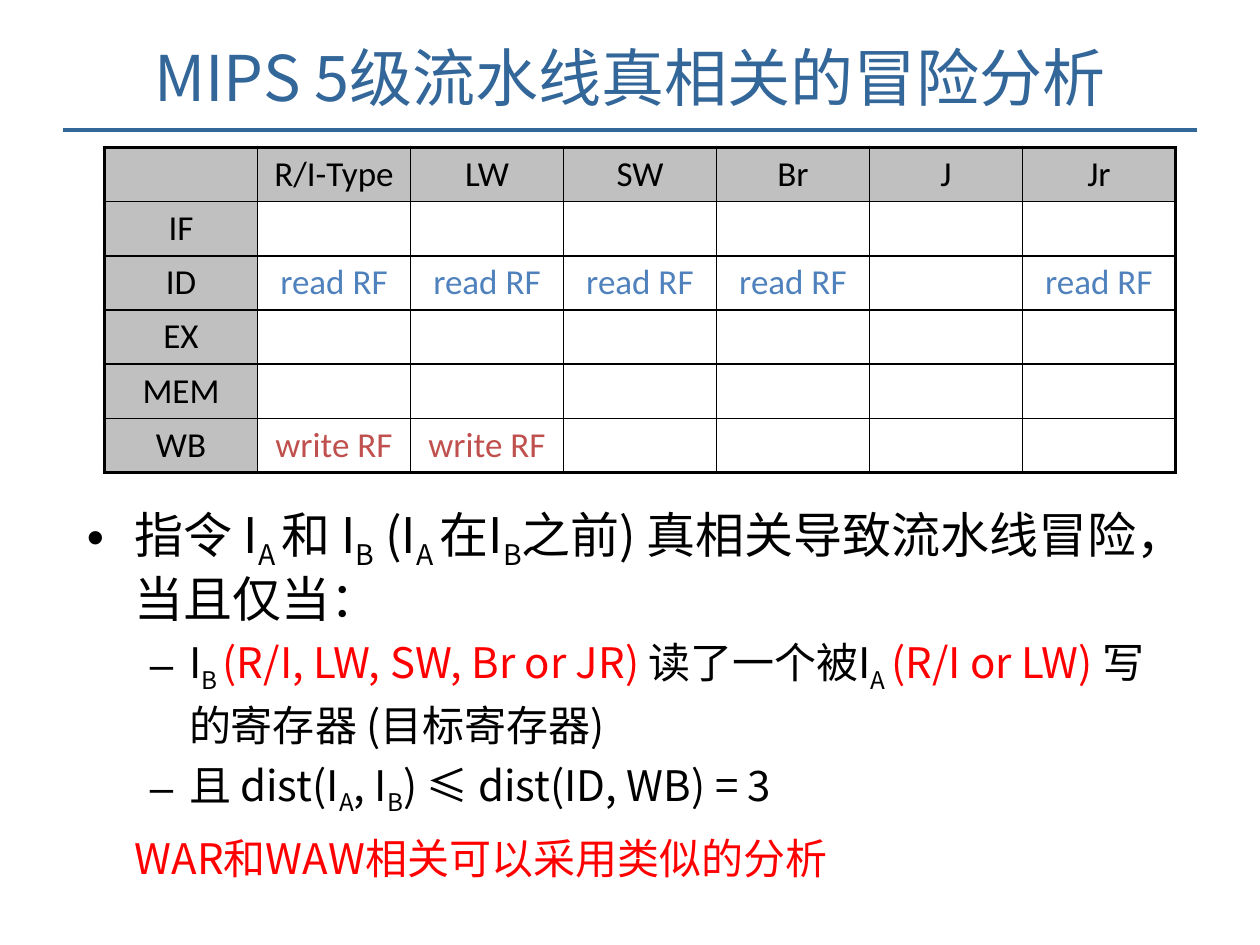
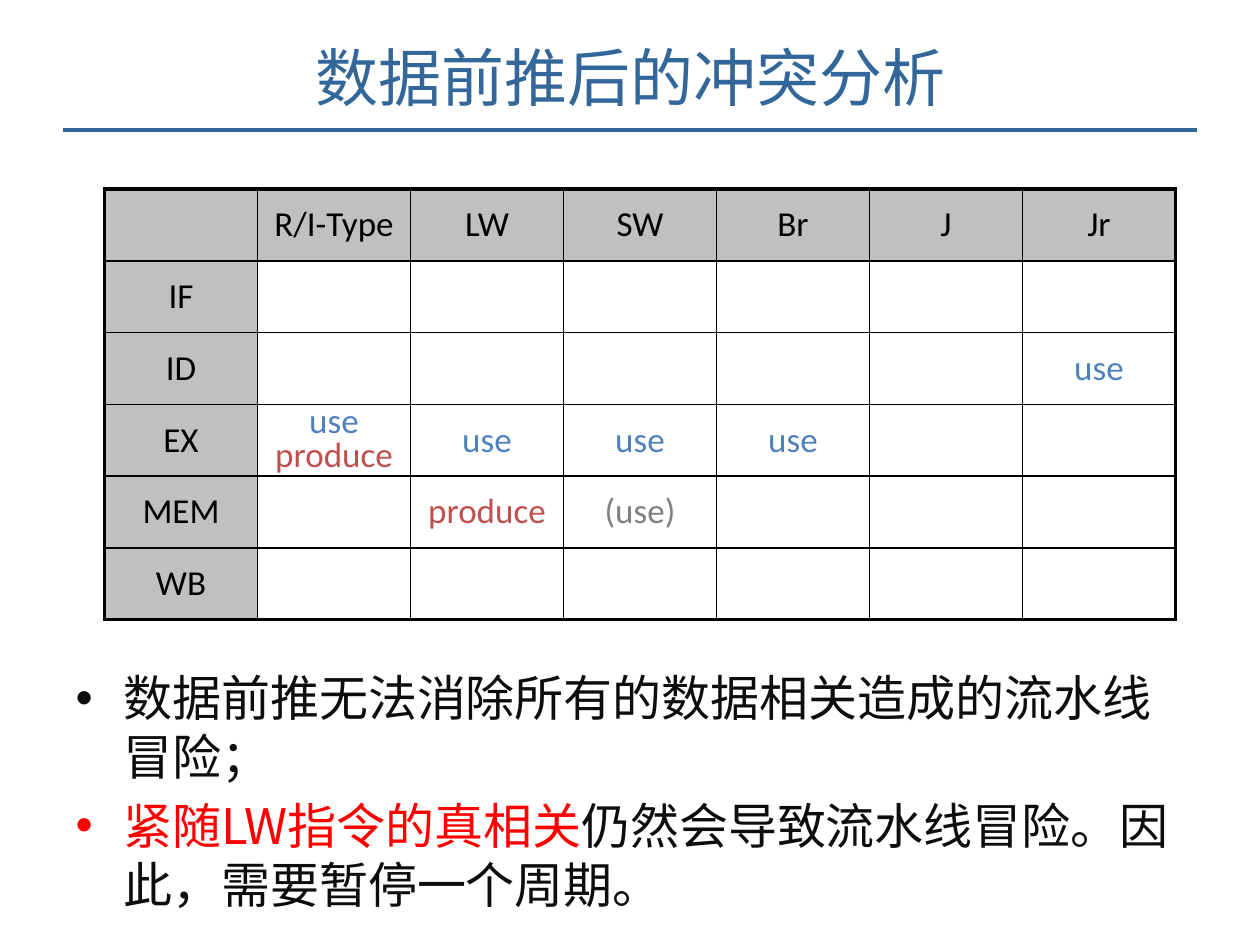
from pptx import Presentation, util as u
from pptx.dml.color import RGBColor
from pptx.enum import shapes, text
from pptx.oxml import ns
from lxml import etree

W, H = 10, 7.5
CJK, LATIN = "Noto Sans CJK SC", "Calibri"
ACCENT, BLACK, INK, RED = "336699", "000000", "0D0D0D", "FF0000"
HEADER_FILL = "C0C0C0"
THIN, THICK = 1, 2.25
CELL_COLORS = {"read RF": "4F81BD", "use": "4F81BD", "write RF": "C0504D",
               "produce": "C0504D", "(use)": "808080"}

TYPES = ["R/I-Type", "LW", "SW", "Br", "J", "Jr"]
STAGES = ["IF", "ID", "EX", "MEM", "WB"]

SUB = {"sub": True}
HOT = {"color": RED}

# Bullet levels: character, left indent, hanging indent (inches), size
TOP = ("•", 0.38, -0.38, 28)
DASH = ("–", 0.81, -0.31, 24)
PLAIN = (None, 0.38, 0, 24)
FIXED = {"line_spacing": u.Pt(32), "space_before": u.Pt(0), "space_after": u.Pt(6)}
LOOSE = {"space_before": u.Pt(5.6), "space_after": u.Pt(0)}

SLIDES = [
    {
        "title": "MIPS 5级流水线真相关的冒险分析",
        "table_top": 1.17, "table_height": 2.58,
        "cells": {
            "ID": {t: "read RF" for t in TYPES if t != "J"},
            "WB": {"R/I-Type": "write RF", "LW": "write RF"},
        },
        "body_box": (0.59, 4.04, 8.74, 3.29), "body_color": BLACK, "spacing": FIXED,
        "body": [
            (TOP, [("指令 I", {}), ("A ", SUB), ("和 I", {}), ("B", SUB), (" (I", {}),
                   ("A ", SUB), ("在I", {}), ("B", SUB),
                   ("之前) 真相关导致流水线冒险，当且仅当：", {})]),
            (DASH, [("I", {}), ("B ", SUB), ("(R/I, LW, SW, Br or JR) ", HOT),
                    ("读了一个被I", {}), ("A ", SUB), ("(R/I or LW) ", HOT),
                    ("写的寄存器 (目标寄存器)", {})]),
            (DASH, [("且 dist(I", {}), ("A", SUB), (", I", {}), ("B", SUB),
                    (") ≤ dist(ID, WB) = 3", {})]),
            (PLAIN, [("WAR和WAW相关可以采用类似的分析", HOT)]),
        ],
    },
    {
        "title": "数据前推后的冲突分析",
        "table_top": 1.5, "table_height": 3.42,
        "cells": {
            "ID": {"Jr": "use"},
            "EX": {"R/I-Type": "use\nproduce", "LW": "use", "SW": "use", "Br": "use"},
            "MEM": {"LW": "produce", "SW": "(use)"},
        },
        "body_box": (0.5, 5.25, 9, 2.04), "body_color": INK, "spacing": LOOSE,
        "body": [
            (TOP, [("数据前推无法消除所有的数据相关造成的流水线冒险；", {})]),
            (TOP, [("紧随LW指令的真相关", HOT),
                   ("仍然会导致流水线冒险。因此，需要暂停一个周期。", {})]),
        ],
    },
]


def rgb(value):
    return RGBColor.from_string(value)


def apply(obj, values):
    for name, value in values.items():
        setattr(obj, name, value)


def add_xml(parent, tag, **attrs):
    return etree.SubElement(parent, ns.qn(tag), attrs)


def add_run(p, words, size, color, font=CJK, sub=False):
    r = p.add_run()
    r.text = words
    apply(r.font, {"size": u.Pt(size), "name": font})
    r.font.color.rgb = rgb(color)
    rPr = r._r.get_or_add_rPr()
    add_xml(rPr, "a:ea", typeface=CJK)
    if sub:
        rPr.set("baseline", "-25000")


def place(sp, box, anchor):
    apply(sp, dict(zip(("left", "top", "width", "height"), map(u.Inches, box))))
    apply(sp.text_frame, {"word_wrap": True, "vertical_anchor": anchor,
                          "auto_size": text.MSO_AUTO_SIZE.NONE})


def add_title(s, words):
    place(s.shapes.title, (0, 0.23, W, 0.75), text.MSO_ANCHOR.MIDDLE)
    p = s.shapes.title.text_frame.paragraphs[0]
    p.alignment = text.PP_ALIGN.CENTER
    add_run(p, words, 36, ACCENT)
    y = u.Inches(1.03)
    rule = s.shapes.add_connector(shapes.MSO_CONNECTOR.STRAIGHT,
                                  u.Inches(0.05 * W), y, u.Inches(0.95 * W), y)
    rule.line.color.rgb = rgb(ACCENT)
    rule.line.width = u.Pt(2)
    add_xml(rule._element.spPr, "a:effectLst")


def set_bullet(p, level, color):
    char, left, hang, _ = level
    pPr = p._p.get_or_add_pPr()
    pPr.set("marL", str(u.Inches(left)))
    pPr.set("indent", str(u.Inches(hang)))
    if char is None:
        add_xml(pPr, "a:buNone")
        return
    add_xml(add_xml(pPr, "a:buClr"), "a:srgbClr", val=color)
    add_xml(pPr, "a:buFont", typeface="Arial")
    add_xml(pPr, "a:buChar", char=char)


def add_body(s, data):
    sp = s.placeholders[1]
    place(sp, data["body_box"], text.MSO_ANCHOR.TOP)
    tf = sp.text_frame
    for i, (level, runs) in enumerate(data["body"]):
        p = tf.add_paragraph() if i else tf.paragraphs[0]
        p.level = 1 if level is DASH else 0
        set_bullet(p, level, runs[0][1].get("color", data["body_color"]))
        apply(p, data["spacing"])
        if i == 0:
            p.space_before = u.Pt(0)
        for words, style in runs:
            add_run(p, words, level[3], **{"color": data["body_color"], **style})


def set_borders(cell, widths):
    """Draw black edges; widths are in the order left, right, top, bottom."""
    tcPr = cell._tc.get_or_add_tcPr()
    for i, (side, width) in enumerate(zip("LRTB", widths)):
        ln = etree.Element(ns.qn("a:ln" + side), w=str(u.Pt(width)))
        add_xml(add_xml(ln, "a:solidFill"), "a:srgbClr", val=BLACK)
        tcPr.insert(i, ln)


def fill_cell(cell, words, header):
    apply(cell, {"vertical_anchor": text.MSO_ANCHOR.MIDDLE, "margin_left": 0,
                 "margin_right": 0, "margin_top": 0, "margin_bottom": 0})
    if header:
        cell.fill.solid()
        cell.fill.fore_color.rgb = rgb(HEADER_FILL)
    else:
        cell.fill.background()
    lines = words.split("\n") if words else []
    for i, line in enumerate(lines):
        tf = cell.text_frame
        p = tf.add_paragraph() if i else tf.paragraphs[0]
        p.alignment = text.PP_ALIGN.CENTER
        if len(lines) > 1:
            p.line_spacing = 0.8
        add_run(p, line, 20, CELL_COLORS.get(line, BLACK), LATIN)


def add_stage_table(s, data):
    grid = [[""] + TYPES]
    for stage in STAGES:
        used = data["cells"].get(stage, {})
        grid.append([stage] + [used.get(t, "") for t in TYPES])
    rows, cols = len(grid), len(grid[0])
    width, height = u.Inches(8.5), u.Inches(data["table_height"])
    table = s.shapes.add_table(rows, cols, u.Inches(0.83), u.Inches(data["table_top"]),
                               width, height).table
    apply(table, {"first_row": False, "horz_banding": False})
    for column in table.columns:
        column.width = width // cols
    for row in table.rows:
        row.height = height // rows
    for i, line in enumerate(grid):
        for j, words in enumerate(line):
            cell = table.cell(i, j)
            fill_cell(cell, words, header=i == 0 or j == 0)
            outer = (j == 0, j == cols - 1, i == 0, i == rows - 1)
            set_borders(cell, [THICK if edge else THIN for edge in outer])


def main():
    prs = Presentation()
    prs.slide_width, prs.slide_height = u.Inches(W), u.Inches(H)
    for data in SLIDES:
        s = prs.slides.add_slide(prs.slide_layouts[1])
        add_title(s, data["title"])
        add_body(s, data)
        add_stage_table(s, data)
    prs.save("out.pptx")


if __name__ == "__main__":
    main()
